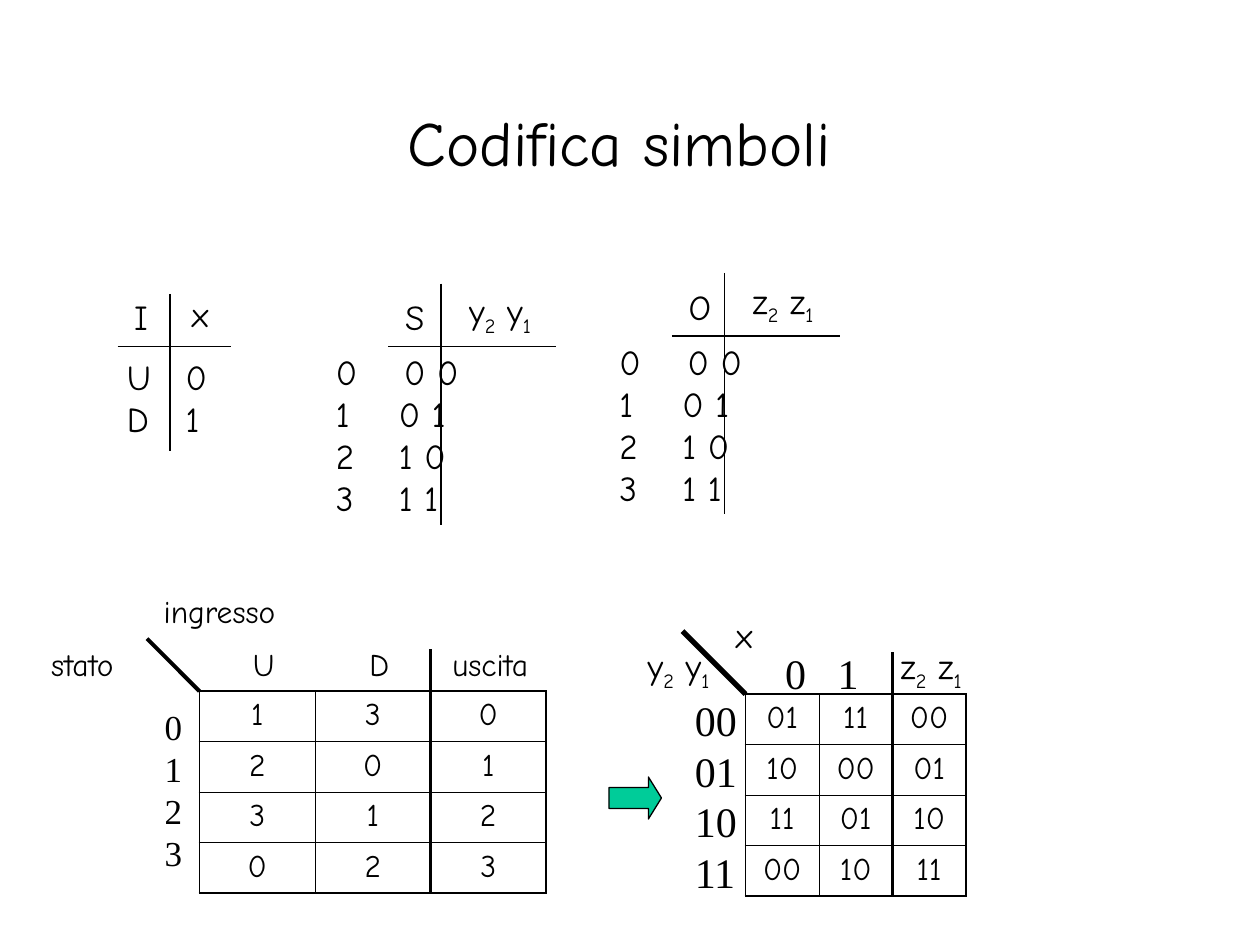
from lxml.etree import SubElement
from pptx import Presentation
from pptx.dml.color import RGBColor
from pptx.enum.shapes import MSO_CONNECTOR, MSO_SHAPE
from pptx.enum.text import MSO_ANCHOR, MSO_AUTO_SIZE, PP_ALIGN
from pptx.oxml.ns import qn
from pptx.util import Inches, Pt

COLORS = {"ink": "000000", "arrow": "00CC99"}
HAND, SERIF = "Comic Neue", "Times New Roman"
CELL = Inches(1 / 12)  # the slide is a grid of 120 columns by 90 rows
HANG = 6  # hanging indent of the code lists, in columns


def grid(*lengths):
    return [round(length * CELL) for length in lengths]


def color(name):
    return RGBColor.from_string(COLORS[name])


def add_run(paragraph, text, size, font, subscript=False):
    run = paragraph.add_run()
    run.text = text
    run.font.size = Pt(size)
    run.font.name = font
    run.font.color.rgb = color("ink")
    if subscript:
        run.font._element.set("baseline", "-25000")


def add_text(paragraph, text, size, font):
    """Write text; the character after each underscore is a subscript."""
    first, *rest = text.split("_")
    add_run(paragraph, first, size, font)
    for part in rest:
        add_run(paragraph, part[0], size, font, subscript=True)
        if part[1:]:
            add_run(paragraph, part[1:], size, font)


def add_label(slide, box, lines, size=20, font=HAND, tabs=(), wrap=False):
    shape = slide.shapes.add_textbox(*grid(*box))
    frame = shape.text_frame
    frame.word_wrap = wrap or bool(tabs)
    frame.auto_size = MSO_AUTO_SIZE.SHAPE_TO_FIT_TEXT
    for index, line in enumerate(lines):
        paragraph = frame.paragraphs[0] if index == 0 else frame.add_paragraph()
        add_text(paragraph, line, size, font)
        if tabs:
            tab_list = SubElement(paragraph._p.get_or_add_pPr(), qn("a:tabLst"))
            for stop in tabs:
                SubElement(tab_list, qn("a:tab"), pos=str(grid(stop)[0]), algn="l")
    return frame


def add_line(slide, start, end, width):
    line = slide.shapes.add_connector(MSO_CONNECTOR.STRAIGHT, *grid(*start, *end))
    line.line.color.rgb = color("ink")
    line.line.width = Pt(width)
    SubElement(line._element.spPr, qn("a:effectLst"))


def add_title(slide, box, text):
    title = slide.shapes.title
    title.left, title.top, title.width, title.height = grid(*box)
    frame = title.text_frame
    frame.vertical_anchor = MSO_ANCHOR.MIDDLE
    frame.auto_size = MSO_AUTO_SIZE.NONE
    frame.paragraphs[0].alignment = PP_ALIGN.CENTER
    add_text(frame.paragraphs[0], text, 36, HAND)


def add_code_frame(slide, cross, arms, symbol, code, code_offset):
    """Draw crossing rules with the two column heads above them."""
    x, y = cross
    left, right, up, down = arms
    dx, dy = code_offset
    add_line(slide, (x - left, y), (x + right, y), 0.75)
    add_line(slide, (x, y - up), (x, y + down), 0.75)
    add_label(slide, (x - 4.6, y - 5.4, 4.6, 5.3), [symbol], wrap=True)
    add_label(slide, (x + dx, y + dy, 12, 5.8), [code], wrap=True)


def add_input_code(slide, cross):
    x, y = cross
    add_code_frame(slide, cross, (5, 5.8, 5, 10), "I", "x", (0.9, -5.7))
    add_label(slide, (x - 5.3, y + 0.25, 10.4, 9.2), ["U\t0", "D\t1"], tabs=[5.6])


def add_numbered_code(slide, cross, symbol, code):
    x, y = cross
    add_code_frame(slide, cross, (5, 11, 6, 17), symbol, code, (1.5, -6))
    frame = add_label(slide, (x - 11.2, y - 0.2, 26, 17.3),
                      ["0\t0 0", "0 1", "1 0", "1 1"], wrap=True)
    for index, paragraph in enumerate(frame.paragraphs):
        indent = grid(HANG if index else HANG + 0.5)[0]
        properties = paragraph._p.get_or_add_pPr()
        properties.set("marL", str(indent))
        properties.set("indent", str(-indent))
        if index:
            SubElement(properties, qn("a:buFont"), typeface=HAND)
            SubElement(properties, qn("a:buAutoNum"), type="arabicPlain")


def set_borders(cell, edges):
    """Heavy rule on the outer edges, hairline inside."""
    properties = cell._tc.get_or_add_tcPr()
    for side, is_outer in zip("LRTB", edges):
        width = Pt(1.08 if is_outer else 0.45)
        border = SubElement(properties, qn(f"a:ln{side}"), w=str(width))
        fill = SubElement(border, qn("a:solidFill"))
        SubElement(fill, qn("a:srgbClr"), val=COLORS["ink"])


def add_state_table(slide, box, rows, diagonal, diagonal_width, labels):
    x, y, width, height = box
    row_count, column_count = len(rows), len(rows[0])
    table = slide.shapes.add_table(row_count, column_count, *grid(*box)).table
    table.first_row = table.horz_banding = False
    for column in table.columns:
        column.width = grid(width / column_count)[0]
    for r, row in enumerate(rows):
        table.rows[r].height = grid(height / row_count)[0]
        for c, value in enumerate(row):
            cell = table.cell(r, c)
            set_borders(cell, (c == 0, c == column_count - 1, r == 0, r == row_count - 1))
            cell.fill.background()
            paragraph = cell.text_frame.paragraphs[0]
            paragraph.alignment = PP_ALIGN.CENTER
            paragraph.space_before = Pt(4.5)
            add_text(paragraph, value, 18, HAND)

    # Corner diagonal and the rule before the output column
    add_line(slide, (x - diagonal, y - diagonal), (x, y), diagonal_width)
    output_x = x + width * (column_count - 1) / column_count
    add_line(slide, (output_x, y + height - 0.1), (output_x, y - 4), 1.5)

    # Labels, placed from the table's top left corner
    for (dx, dy, label_width, label_height), lines, size, font, tabs in labels:
        label_box = (x + dx, y + dy, label_width, label_height)
        add_label(slide, label_box, lines, size, font, tabs, wrap=True)


def add_arrow(slide, box):
    arrow = slide.shapes.add_shape(MSO_SHAPE.RIGHT_ARROW, *grid(*box))
    arrow.adjustments[1] = 0.31
    arrow.shadow.inherit = False
    arrow.fill.solid()
    arrow.fill.fore_color.rgb = color("arrow")
    arrow.line.color.rgb = color("ink")
    arrow.line.width = Pt(0.75)


def main():
    presentation = Presentation()
    presentation.slide_width, presentation.slide_height = grid(120, 90)
    slide = presentation.slides.add_slide(presentation.slide_layouts[5])
    add_title(slide, (8, 6, 102, 15), "Codifica simboli")

    # Symbol codes
    add_input_code(slide, (16.2, 33))
    add_numbered_code(slide, (42, 33), "S", "y_2 y_1")
    add_numbered_code(slide, (69, 32), "O", "z_2 z_1")

    # Symbolic table, arrow, encoded table
    add_state_table(
        slide, (19, 65.83, 33, 19.2),
        [("1", "3", "0"), ("2", "0", "1"), ("3", "1", "2"), ("0", "2", "3")], 5, 2.25,
        [((3.9, -5, 30, 4.8), ["U\tD\tuscita"], 18, HAND, (11.1, 19)),
         ((-4.6, -10, 14, 4.8), ["ingresso"], 18, HAND, ()),
         ((-15.3, -5, 10, 4.8), ["stato"], 18, HAND, ()),
         ((-4.5, 0.77, 4.5, 17.3), ["0", "1", "2", "3"], 20, SERIF, ())])
    add_arrow(slide, (58, 74, 5, 4))
    add_state_table(
        slide, (71, 66.1, 21, 19.2),
        [("01", "11", "00"), ("10", "00", "01"), ("11", "01", "10"), ("00", "10", "11")], 6, 3,
        [((-10.5, -5.3, 10, 5.8), ["y_2 y_1"], 20, HAND, ()),
         ((2.6, -5, 9.4, 6), ["0\t1"], 24, SERIF, (5,)),
         ((13.6, -5.3, 10, 5.8), ["z_2 z_1"], 20, HAND, ()),
         ((-2.1, -8.3, 4.5, 5.3), ["x"], 20, HAND, ()),
         ((-6, -0.5, 7, 20.4), ["00", "01", "10", "11"], 24, SERIF, ())])
    presentation.save("out.pptx")


if __name__ == "__main__":
    main()
